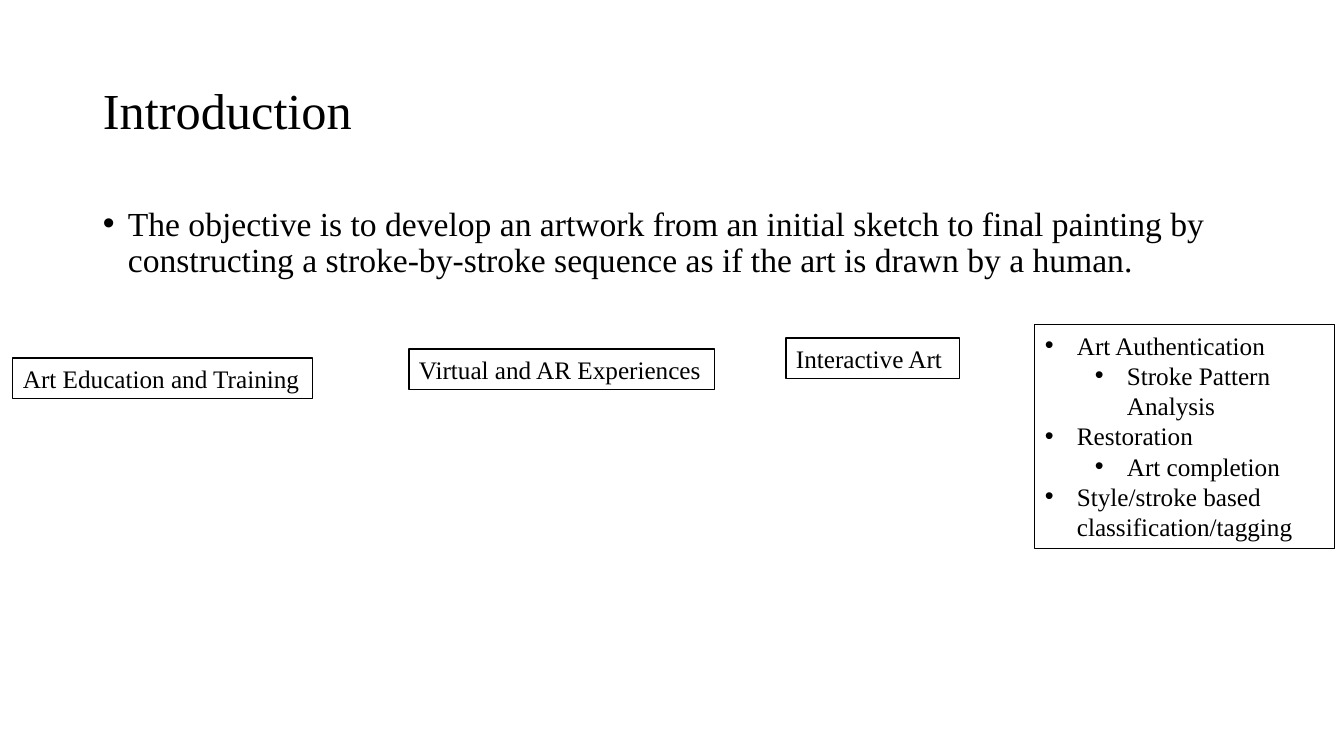
from lxml import etree
from pptx import Presentation
from pptx.dml.color import RGBColor
from pptx.enum.text import MSO_ANCHOR
from pptx.oxml.ns import qn
from pptx.util import Pt

FONT = "Times New Roman"
INK = "000000"
EMU_PER_PX = 914400 / 100.8
SLIDE_SIZE = (1344, 756)

TITLE = ((93, 40, 1159, 146), "Introduction")
OBJECTIVE = (
    (93, 202, 1159, 480),
    "The objective is to develop an artwork from an initial sketch to final painting "
    "by constructing a stroke-by-stroke sequence as if the art is drawn by a human.",
)
LABELS = [
    ((13, 358, 300, 41), "Art Education and Training"),
    ((409, 349, 306, 41), "Virtual and AR Experiences"),
    ((786, 338, 174, 41), "Interactive Art"),
]
USES_BOX = (1035, 325, 300, 224)
USES = [
    (0, "Art Authentication"),
    (1, "Stroke Pattern Analysis"),
    (0, "Restoration"),
    (1, "Art completion"),
    (0, "Style/stroke based classification/tagging"),
]
HANG, LEVEL_STEP, OBJECTIVE_HANG = 32, 50, 25


def px(n):
    return round(n * EMU_PER_PX)


def color(value):
    return RGBColor.from_string(value)


def add_box(slide, box, outlined=False):
    sp = slide.shapes.add_textbox(*map(px, box))
    if outlined:
        sp.line.color.rgb = color(INK)
        sp.line.width = Pt(0.75)
    tf = sp.text_frame
    tf.word_wrap = True
    return tf


def add_text(p, text, size, spacing=None):
    p.line_spacing = spacing
    r = p.add_run()
    r.text = text
    r.font.name = FONT
    r.font.size = Pt(size)
    r.font.color.rgb = color(INK)


def add_bullet(p, left, hang):
    pPr = p._p.get_or_add_pPr()
    pPr.set("marL", str(px(left)))
    pPr.set("indent", str(-px(hang)))
    etree.SubElement(pPr, qn("a:buFont")).set("typeface", "Arial")
    etree.SubElement(pPr, qn("a:buChar")).set("char", "•")


def main():
    prs = Presentation()
    prs.slide_width, prs.slide_height = map(px, SLIDE_SIZE)
    slide = prs.slides.add_slide(prs.slide_layouts[6])

    box, text = TITLE
    tf = add_box(slide, box)
    tf.vertical_anchor = MSO_ANCHOR.MIDDLE
    add_text(tf.paragraphs[0], text, 36, 0.9)

    box, text = OBJECTIVE
    p = add_box(slide, box).paragraphs[0]
    add_bullet(p, OBJECTIVE_HANG, OBJECTIVE_HANG)
    add_text(p, text, 24, 0.9)

    for box, text in LABELS:
        add_text(add_box(slide, box, outlined=True).paragraphs[0], text, 18)

    tf = add_box(slide, USES_BOX, outlined=True)
    for i, (level, text) in enumerate(USES):
        p = tf.add_paragraph() if i else tf.paragraphs[0]
        p.level = level
        add_bullet(p, HANG + level * LEVEL_STEP, HANG)
        add_text(p, text, 18)

    prs.save("out.pptx")


if __name__ == "__main__":
    main()
